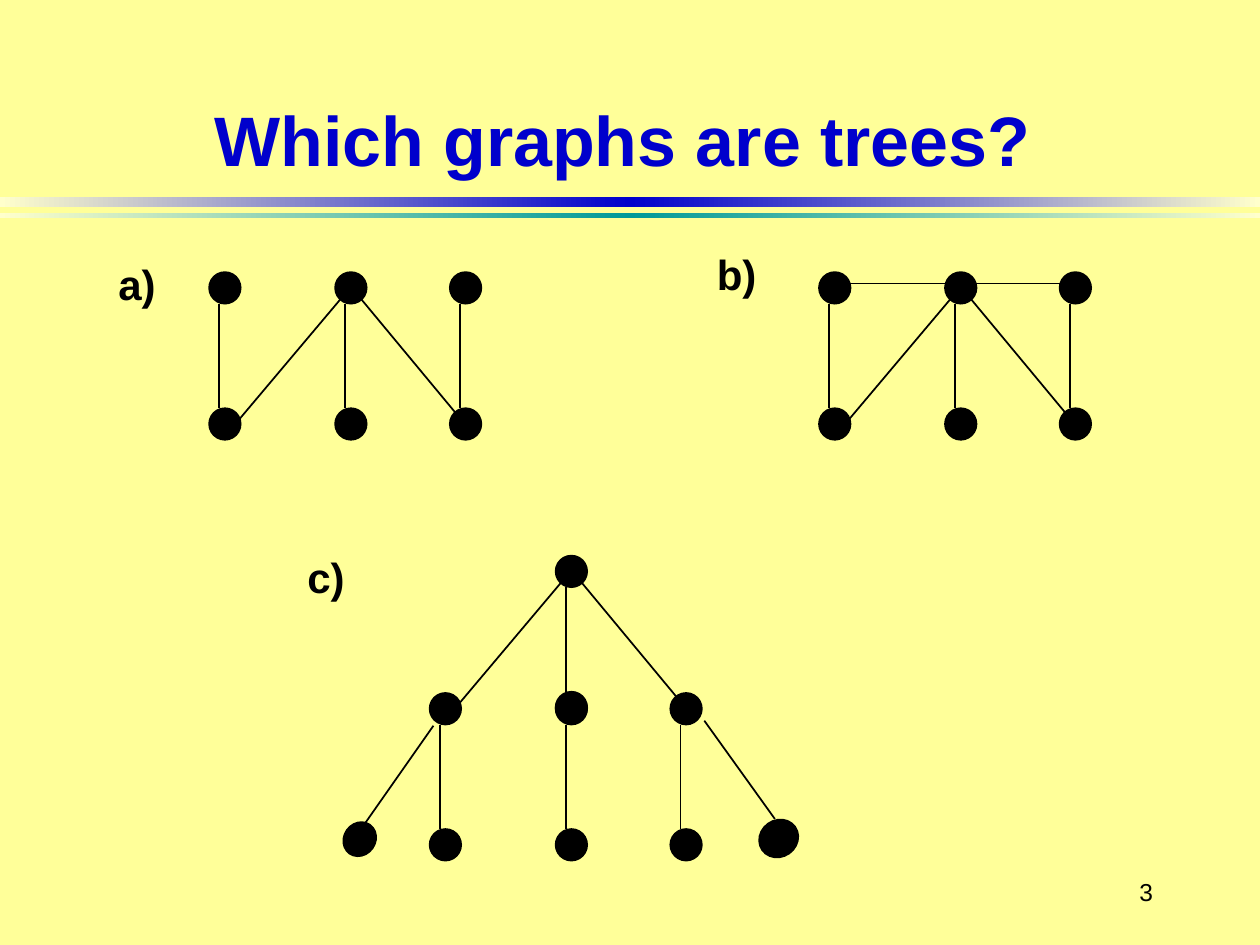
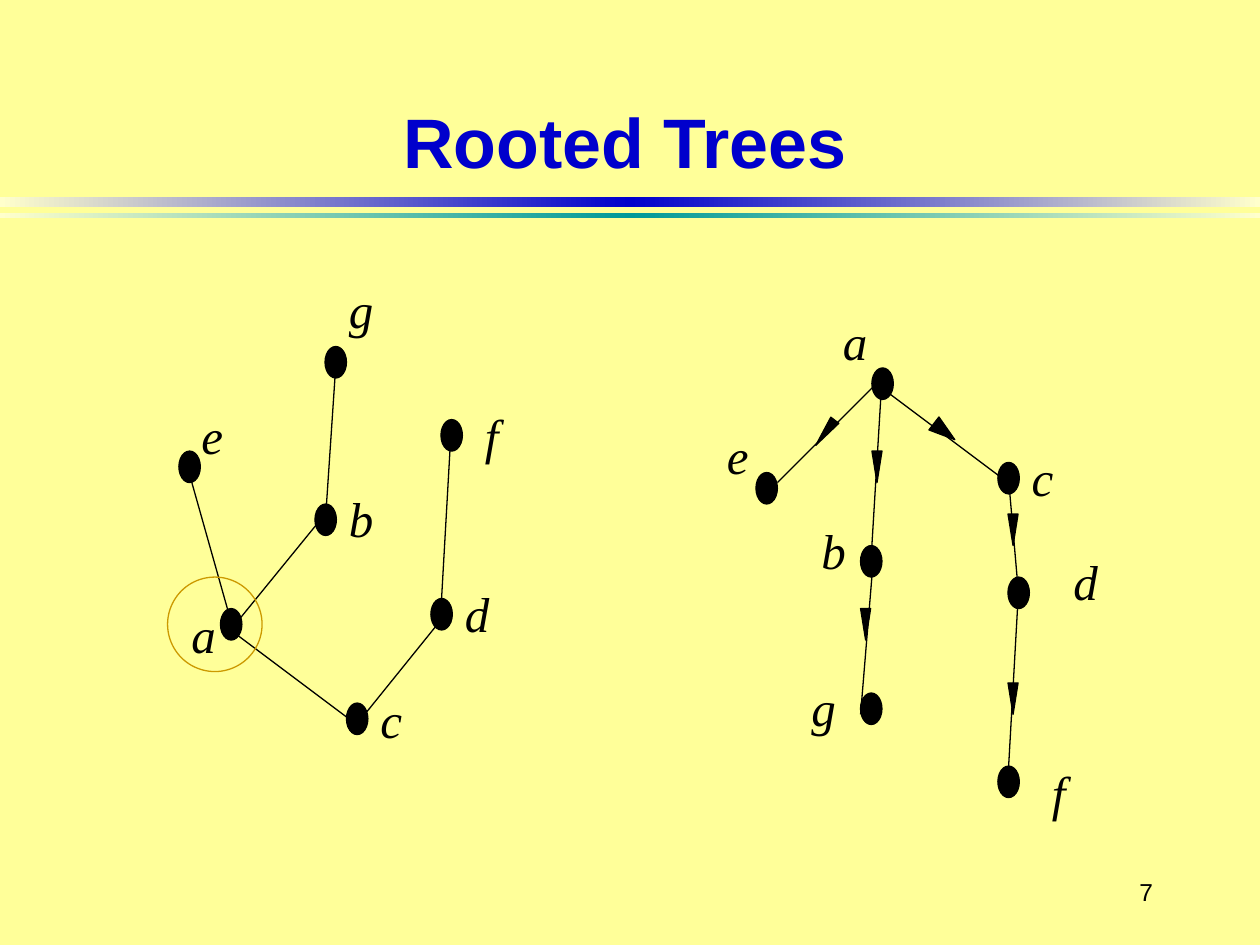
from copy import deepcopy
from typing import NamedTuple

from pptx import Presentation
from pptx.dml.color import RGBColor
from pptx.enum.shapes import MSO_CONNECTOR, MSO_SHAPE
from pptx.enum.text import MSO_ANCHOR, MSO_AUTO_SIZE, PP_ALIGN
from pptx.oxml.ns import qn
from pptx.oxml.xmlchemy import OxmlElement
from pptx.slide import Slide
from pptx.util import Inches, Pt

PAPER, INK, BLUE, TEAL, CREAM, GOLD = "FFFF99", "000000", "0000CC", "009999", "FFFFCC", "CC9900"
SANS, SERIF = "Arial", "Times New Roman"
COLUMNS = (0, 1, 1.91)
ROW_GAP = 1.08
LABEL_WIDTHS = {"c": 0.37, "e": 0.37, "f": 0.31}


class Box(NamedTuple):
    left: float
    top: float
    width: float
    height: float


class Edge(NamedTuple):
    x1: float
    y1: float
    x2: float
    y2: float


class Vertex(NamedTuple):
    name: str
    left: float
    top: float
    label_left: float
    label_top: float


class Arrowhead(NamedTuple):
    box: Box
    rotation: float = 180


class TextStyle(NamedTuple):
    font: str
    size: float
    color: str = INK
    bold: bool = False
    italic: bool = False


TITLE = TextStyle(SANS, 40, BLUE, bold=True)
NUMBER = TextStyle(SANS, 14)
OPTION = TextStyle(SANS, 24, bold=True)
VERTEX_NAME = TextStyle(SERIF, 28, italic=True)

FREE_VERTICES = (
    Vertex("g", 2.58, 2.75, 2.67, 2.17), Vertex("f", 3.5, 3.33, 3.75, 3.17),
    Vertex("b", 2.5, 4, 2.67, 3.83), Vertex("e", 1.42, 3.58, 1.5, 3.17),
    Vertex("d", 3.42, 4.75, 3.59, 4.58), Vertex("c", 2.75, 5.58, 2.92, 5.42),
    Vertex("a", 1.75, 4.83, 1.42, 4.75),
)
FREE_EDGES = (
    Edge(1.5, 3.75, 1.83, 4.92), Edge(1.83, 5, 2.58, 4.08), Edge(1.83, 5, 2.83, 5.75),
    Edge(2.83, 5.75, 3.5, 4.92), Edge(3.5, 4.83, 3.58, 3.42), Edge(2.58, 4.17, 2.67, 2.83),
)
ROOTED_VERTICES = (
    Vertex("g", 6.83, 5.5, 6.34, 5.33), Vertex("f", 7.92, 6.08, 8.25, 6),
    Vertex("b", 6.83, 4.33, 6.42, 4.08), Vertex("e", 6, 3.75, 5.67, 3.33),
    Vertex("d", 8, 4.58, 8.42, 4.33), Vertex("c", 7.92, 3.67, 8.09, 3.5),
    Vertex("a", 6.92, 2.92, 6.59, 2.42),
)
ROOTED_EDGES = (
    Edge(7, 3, 6.17, 3.83), Edge(7, 3, 6.92, 4.33), Edge(7, 3.08, 8, 3.83),
    Edge(6.92, 4.58, 6.83, 5.67), Edge(8, 3.75, 8.08, 4.67), Edge(8.08, 4.75, 8, 6.17),
)
ARROWHEADS = (
    Arrowhead(Box(6.92, 3.58, 0.08, 0.25)), Arrowhead(Box(6.83, 4.83, 0.08, 0.25)),
    Arrowhead(Box(8, 4.08, 0.08, 0.25)), Arrowhead(Box(8, 5.42, 0.08, 0.25)),
    Arrowhead(Box(6.51, 3.31, 0.08, 0.25), 217.2),
    Arrowhead(Box(7.43, 3.32, 0.13, 0.21), 127.8),
)


def rgb(color: str) -> RGBColor:
    return RGBColor.from_string(color)


def inches(lengths: tuple) -> list:
    return [Inches(length) for length in lengths]


def add_figure(slide: Slide, kind: MSO_SHAPE, box: Box, line_width: float,
               fill: str | None = INK, line: str = INK, rotation: float = 0) -> None:
    shape = slide.shapes.add_shape(kind, *inches(box))
    shape.shadow.inherit = False
    shape.rotation = rotation
    if fill:
        shape.fill.solid()
        shape.fill.fore_color.rgb = rgb(fill)
    else:
        shape.fill.background()
    shape.line.color.rgb = rgb(line)
    shape.line.width = Pt(line_width)


def add_edge(slide: Slide, edge: Edge, width: float) -> None:
    connector = slide.shapes.add_connector(MSO_CONNECTOR.STRAIGHT, *inches(edge))
    connector.line.color.rgb = rgb(INK)
    connector.line.width = Pt(width)
    connector.element.spPr.append(OxmlElement("a:effectLst"))


def write(paragraph, text: str, style: TextStyle, alignment: PP_ALIGN) -> None:
    paragraph.alignment = alignment
    run = paragraph.add_run()
    run.text = text
    font = run.font
    font.name, font.size = style.font, Pt(style.size)
    font.bold, font.italic = style.bold, style.italic
    font.color.rgb = rgb(style.color)


def add_label(slide: Slide, text: str, box: Box, style: TextStyle,
              alignment: PP_ALIGN = PP_ALIGN.LEFT, anchor: MSO_ANCHOR = MSO_ANCHOR.TOP) -> None:
    frame = slide.shapes.add_textbox(*inches(box)).text_frame
    frame.word_wrap = False
    frame.vertical_anchor = anchor
    write(frame.paragraphs[0], text, style, alignment)


def add_master_band(presentation, slide: Slide, box: Box, color: str) -> None:
    band = slide.shapes.add_shape(MSO_SHAPE.RECTANGLE, *inches(box))
    band.shadow.inherit = False
    band.line.fill.background()
    band.fill.gradient()
    band.fill.gradient_angle = 0
    stop_list = band.element.find(".//" + qn("a:gsLst"))
    stop_list.insert(1, deepcopy(stop_list[0]))
    for stop, position, stop_color in zip(band.fill.gradient_stops, (0, 0.5, 1), (CREAM, color, CREAM)):
        stop.position = position
        stop.color.rgb = rgb(stop_color)
    presentation.slide_master.shapes.element.insert(2, band.element)


def add_slide(presentation, title: str, number: str, title_box: Box) -> Slide:
    slide = presentation.slides.add_slide(presentation.slide_layouts[5])
    shape = slide.shapes.title
    shape.left, shape.top, shape.width, shape.height = inches(title_box)
    frame = shape.text_frame
    frame.auto_size = MSO_AUTO_SIZE.NONE
    frame.vertical_anchor = MSO_ANCHOR.BOTTOM
    write(frame.paragraphs[0], title, TITLE, PP_ALIGN.CENTER)
    add_label(slide, number, Box(8.58, 6.83, 0.67, 0.5), NUMBER, PP_ALIGN.RIGHT, MSO_ANCHOR.MIDDLE)
    return slide


def add_dot(slide: Slide, left: float, top: float) -> None:
    add_figure(slide, MSO_SHAPE.OVAL, Box(left, top, 0.25, 0.25), 1)


def add_rung(slide: Slide, left: float, top: float) -> None:
    add_dot(slide, left, top)
    add_edge(slide, Edge(left + 0.08, top + 0.25, left + 0.08, top + ROW_GAP), 1)
    add_dot(slide, left, top + ROW_GAP)


def add_diagonals(slide: Slide, left: float, top: float) -> None:
    add_edge(slide, Edge(left + 1.17, top + 0.17, left + 2, top + 1.17), 1)
    add_edge(slide, Edge(left + 1.08, top + 0.17, left + 0.17, top + 1.25), 1)


def add_rungs(slide: Slide, left: float, top: float) -> None:
    for column in COLUMNS:
        add_rung(slide, left + column, top)


def add_tree(slide: Slide, vertices: tuple, edges: tuple) -> None:
    for vertex in vertices:
        add_figure(slide, MSO_SHAPE.OVAL, Box(vertex.left, vertex.top, 0.17, 0.25), 0.75)
        width = LABEL_WIDTHS.get(vertex.name, 0.39)
        add_label(slide, vertex.name, Box(vertex.label_left, vertex.label_top, width, 0.57), VERTEX_NAME)
    for edge in edges:
        add_edge(slide, edge, 0.75)


def draw_graph_choices(slide: Slide) -> None:
    for left in (1.66, 6.5):
        add_rungs(slide, left, 2.16)
        add_diagonals(slide, left, 2.16)
    add_edge(slide, Edge(6.67, 2.25, 8.5, 2.25), 1)

    add_rung(slide, 4.41, 4.41)
    add_diagonals(slide, 3.41, 4.41)
    add_rungs(slide, 3.41, 5.5)
    add_edge(slide, Edge(3.44, 5.76, 2.9, 6.53), 1)
    add_edge(slide, Edge(5.59, 5.72, 6.15, 6.5), 1)
    add_figure(slide, MSO_SHAPE.OVAL, Box(2.73, 6.52, 0.25, 0.28), 1, rotation=35.2)
    add_figure(slide, MSO_SHAPE.OVAL, Box(6.02, 6.51, 0.32, 0.29), 1, rotation=324.8)

    for text, left, top in (("a)", 0.84, 2), ("b)", 5.59, 1.92), ("c)", 2.34, 4.33)):
        add_label(slide, text, Box(left, top, 0.55, 0.5), OPTION)


def draw_rooted_trees(slide: Slide) -> None:
    add_tree(slide, FREE_VERTICES, FREE_EDGES)
    add_figure(slide, MSO_SHAPE.OVAL, Box(1.33, 4.58, 0.75, 0.75), 0.75, fill=None, line=GOLD)
    add_tree(slide, ROOTED_VERTICES, ROOTED_EDGES)
    for arrowhead in ARROWHEADS:
        add_figure(slide, MSO_SHAPE.ISOSCELES_TRIANGLE, arrowhead.box, 0.75, rotation=arrowhead.rotation)


def main() -> None:
    """Build the two slides on graphs and trees."""
    presentation = Presentation()
    presentation.slide_width, presentation.slide_height = Inches(10), Inches(7.5)
    background = presentation.slide_master.background.fill
    background.solid()
    background.fore_color.rgb = rgb(PAPER)

    choices = add_slide(presentation, "Which graphs are trees?", "3", Box(0.65, 0.23, 8.58, 1.25))
    add_master_band(presentation, choices, Box(0, 1.56, 10, 0.08), BLUE)
    add_master_band(presentation, choices, Box(0, 1.69, 10, 0.04), TEAL)
    draw_graph_choices(choices)

    rooted = add_slide(presentation, "Rooted Trees", "7", Box(0.67, 0.25, 8.58, 1.25))
    draw_rooted_trees(rooted)
    presentation.save("out.pptx")


if __name__ == "__main__":
    main()
